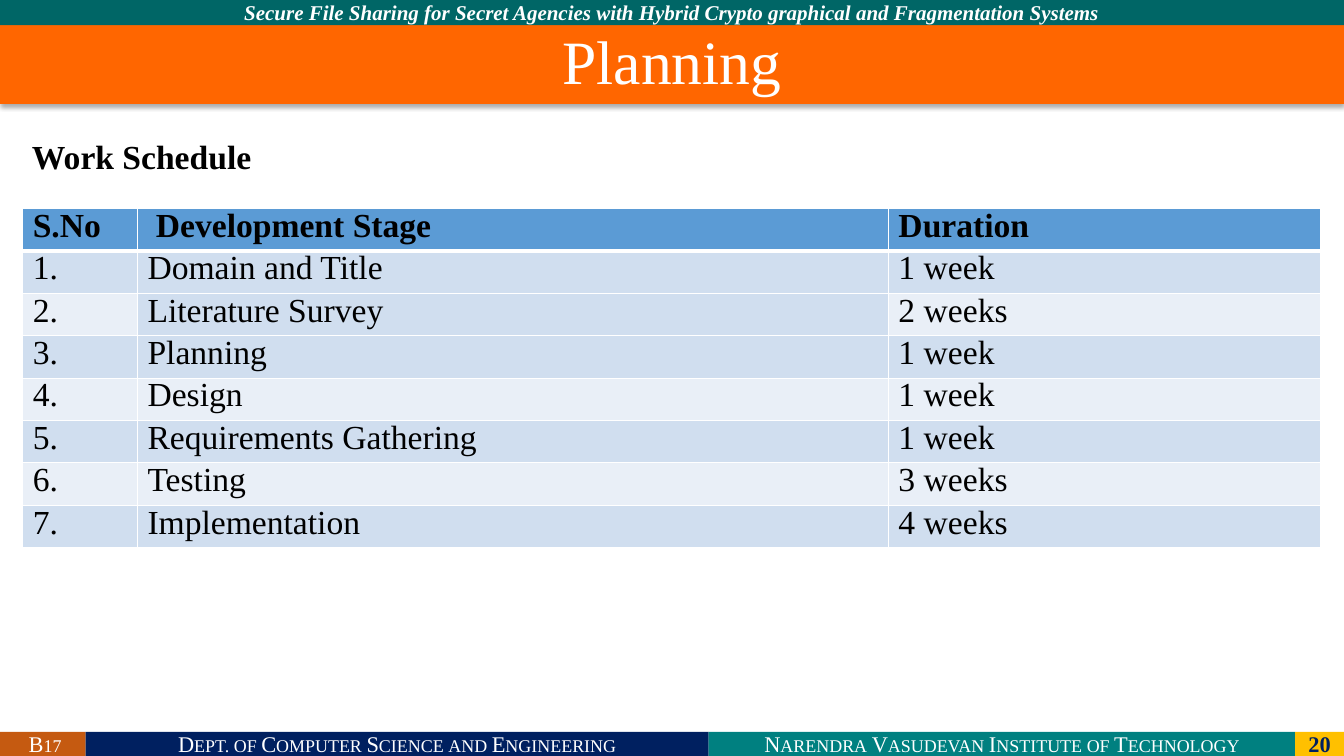
from lxml.etree import SubElement
from pptx import Presentation
from pptx.dml.color import RGBColor
from pptx.enum.shapes import MSO_SHAPE
from pptx.enum.text import MSO_ANCHOR as Anchor, PP_ALIGN as Align
from pptx.oxml.ns import qn
from pptx.util import Pt

FONT = "Times New Roman"
WIDTH, HEIGHT = 960, 540
COLORS = {
    "white": "FFFFFF", "black": "000000", "navy": "002060", "teal": "008080",
    "dark_teal": "006666", "gold": "FFC000", "rust": "C55A11", "orange": "FF6600",
    "header": "5B9BD5", "band": "D0DEEF", "light_band": "E9EFF7",
}

# Footer parts: text, right edge, fill, font format
FOOTER = [
    (" B17", 61.2, "rust", {"small_caps": True}),
    ("Dept. of Computer Science and Engineering", 506.2, "navy", {"small_caps": True}),
    ("Narendra Vasudevan Institute of Technology", 925.2, "teal", {"small_caps": True}),
    ("20", WIDTH, "gold", {"color": "navy", "bold": True}),
]
FOOTER_TOP = 522.7

COLUMN_WIDTHS = [82, 536.4, 309]
ROW_HEIGHT = 29.5
HEADINGS = ["S.No", " Development Stage", "Duration"]
STAGES = [
    ("Domain and Title", "1 week"),
    ("Literature Survey", "2 weeks"),
    ("Planning", "1 week"),
    ("Design", "1 week"),
    ("Requirements Gathering", "1 week"),
    ("Testing", "3 weeks"),
    ("Implementation", "4 weeks"),
]


def rgb(name):
    return RGBColor.from_string(COLORS[name])


def paint(target, color):
    target.fill.solid()
    target.fill.fore_color.rgb = rgb(color)


def write(text_frame, text, size, color="white", align=Align.CENTER,
          spacing=None, small_caps=False, **font_format):
    paragraph = text_frame.paragraphs[0]
    paragraph.alignment = align
    paragraph.line_spacing = spacing
    run = paragraph.add_run()
    run.text = text
    values = {"name": FONT, "size": Pt(size), "bold": False, **font_format}
    for name, value in values.items():
        setattr(run.font, name, value)
    run.font.color.rgb = rgb(color)
    if small_caps:
        run._r.get_or_add_rPr().set("cap", "small")


def place(shape, left, top, width, height):
    box = {"left": left, "top": top, "width": width, "height": height}
    for name, value in box.items():
        setattr(shape, name, Pt(value))


def add_bar(slide, text, box, fill, size=16, **text_format):
    bar = slide.shapes.add_shape(MSO_SHAPE.RECTANGLE, *map(Pt, box))
    bar.shadow.inherit = False
    paint(bar, fill)
    bar.line.fill.background()
    bar.text_frame.vertical_anchor = Anchor.MIDDLE
    write(bar.text_frame, text, size, **text_format)


def add_shadow(shape, blur, distance, opacity):
    effects = SubElement(shape._element.spPr, qn("a:effectLst"))
    shadow = SubElement(effects, qn("a:outerShdw"), blurRad=str(Pt(blur)),
                        dist=str(Pt(distance)), dir="5400000", algn="t", rotWithShape="0")
    color = SubElement(shadow, qn("a:srgbClr"), val=COLORS["black"])
    SubElement(color, qn("a:alpha"), val=str(opacity * 1000))


def format_title(slide, text):
    title = slide.shapes.title
    place(title, 0, 18, WIDTH, 56.2)
    paint(title, "orange")
    title.line.fill.background()
    add_shadow(title, 3.5, 2.2, 32)
    title.text_frame.vertical_anchor = Anchor.MIDDLE
    write(title.text_frame, text, 44, spacing=0.9)


def add_subheading(slide, text):
    box = slide.shapes.add_textbox(Pt(15.8), Pt(99.4), Pt(486.7), Pt(30.2))
    box.text_frame.word_wrap = True
    write(box.text_frame, text, 24, "black", Align.JUSTIFY, 0.8, bold=True)


def add_borders(cell, bottom, top):
    properties = cell._tc.get_or_add_tcPr()
    for side, width in {"L": 1, "R": 1, "T": top, "B": bottom}.items():
        line = SubElement(properties, qn(f"a:ln{side}"), w=str(Pt(width)))
        fill = SubElement(line, qn("a:solidFill"))
        SubElement(fill, qn("a:srgbClr"), val=COLORS["white"])


def cell_color(row, column):
    if row == 0:
        return "header"
    if row % 2 or (row, column) == (2, 1):
        return "band"
    return "light_band"


def add_schedule(slide):
    rows = [HEADINGS]
    rows += [(f"{number}.", *stage) for number, stage in enumerate(STAGES, 1)]
    frame = slide.shapes.add_table(
        len(rows), len(HEADINGS), Pt(16.2), Pt(149),
        Pt(sum(COLUMN_WIDTHS)), Pt(ROW_HEIGHT * len(rows)))
    table = frame.table
    for column, width in zip(table.columns, COLUMN_WIDTHS):
        column.width = Pt(width)
    for row, texts in enumerate(rows):
        table.rows[row].height = Pt(ROW_HEIGHT)
        for column, text in enumerate(texts):
            cell = table.cell(row, column)
            add_borders(cell, bottom=3 if row == 0 else 1, top=3 if row == 1 else 1)
            paint(cell, cell_color(row, column))
            write(cell.text_frame, text, 24, "black", Align.JUSTIFY, 0.8, bold=row == 0)


def main():
    presentation = Presentation()
    presentation.slide_width, presentation.slide_height = Pt(WIDTH), Pt(HEIGHT)
    slide = presentation.slides.add_slide(presentation.slide_layouts[5])

    # Header
    add_bar(slide, "Secure File Sharing for Secret Agencies with Hybrid "
            "Crypto graphical and Fragmentation Systems",
            (0, 0, WIDTH, 18), "dark_teal", 15, bold=True, italic=True)
    format_title(slide, "Planning")

    # Work schedule
    add_subheading(slide, "Work Schedule")
    add_schedule(slide)

    # Footer
    left = 0
    for text, right, fill, text_format in FOOTER:
        box = (left, FOOTER_TOP, right - left, HEIGHT - FOOTER_TOP)
        add_bar(slide, text, box, fill, **text_format)
        left = right

    presentation.save("out.pptx")


if __name__ == "__main__":
    main()
